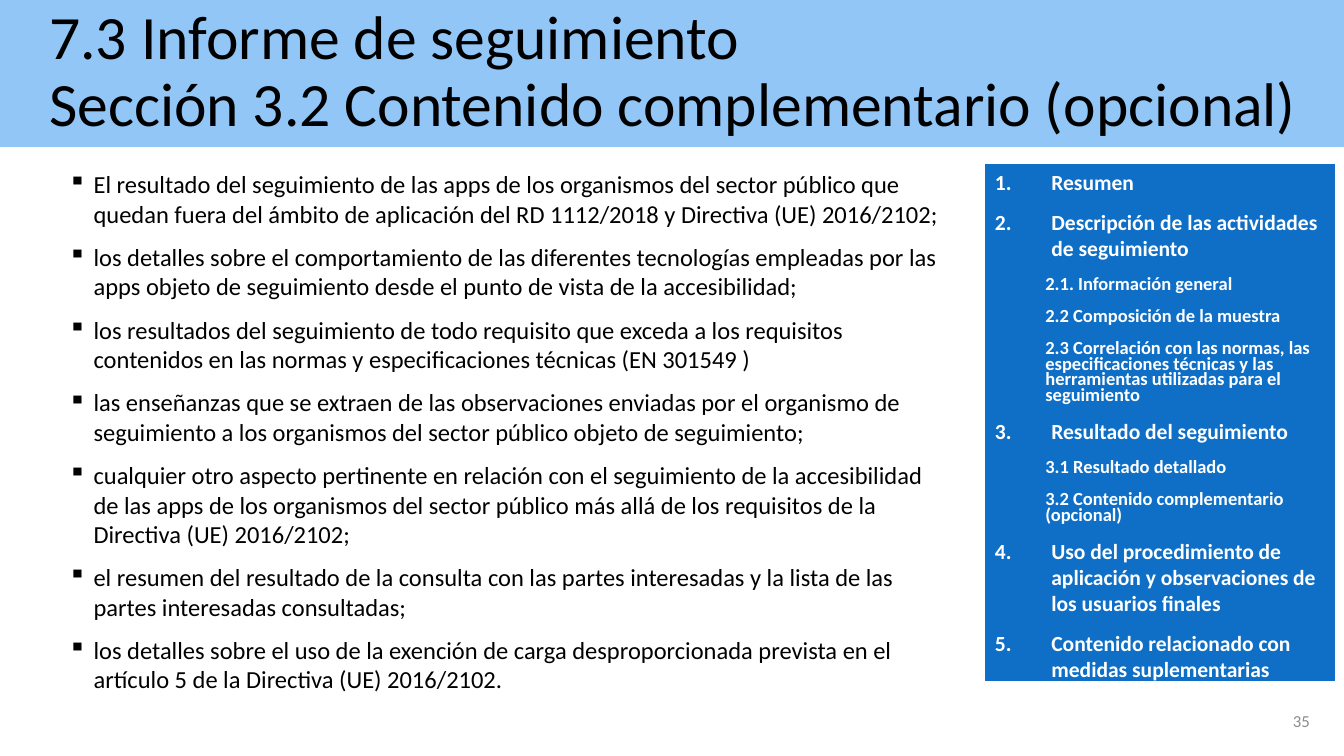
from lxml import etree
from pptx import Presentation
from pptx.dml.color import RGBColor
from pptx.enum.shapes import MSO_SHAPE
from pptx.enum.text import MSO_ANCHOR, PP_ALIGN
from pptx.oxml.ns import qn
from pptx.util import Emu, Inches, Pt

RECTANGLE = MSO_SHAPE.RECTANGLE
TOP, MIDDLE = MSO_ANCHOR.TOP, MSO_ANCHOR.MIDDLE
LEFT, RIGHT = PP_ALIGN.LEFT, PP_ALIGN.RIGHT
WIDTH, HEIGHT = 13.33, 7.5
CONTENT_TOP = 1.63
FONT = "Calibri"
COLORS = {"banner": "91C6F7", "index": "0F6FC6", "text": "000000",
          "index_text": "FFFFFF", "number": "8C8C8C"}

TITLE = ["7.3 Informe de seguimiento",
         "Sección 3.2 Contenido complementario (opcional)"]
CONTENTS = [
    "El resultado del seguimiento de las apps de los organismos del sector público que "
    "quedan fuera del ámbito de aplicación del RD 1112/2018 y Directiva (UE) 2016/2102;",
    "los detalles sobre el comportamiento de las diferentes tecnologías empleadas por las "
    "apps objeto de seguimiento desde el punto de vista de la accesibilidad;",
    "los resultados del seguimiento de todo requisito que exceda a los requisitos "
    "contenidos en las normas y especificaciones técnicas (EN 301549 )",
    "las enseñanzas que se extraen de las observaciones enviadas por el organismo de "
    "seguimiento a los organismos del sector público objeto de seguimiento;",
    "cualquier otro aspecto pertinente en relación con el seguimiento de la accesibilidad "
    "de las apps de los organismos del sector público más allá de los requisitos de la "
    "Directiva (UE) 2016/2102;",
    "el resumen del resultado de la consulta con las partes interesadas y la lista de las "
    "partes interesadas consultadas;",
    "los detalles sobre el uso de la exención de carga desproporcionada prevista en el "
    "artículo 5 de la Directiva (UE) 2016/2102.",
]
INDEX = [
    ("Resumen", []),
    ("Descripción de las actividades de seguimiento", [
        "2.1. Información general",
        "2.2 Composición de la muestra",
        "2.3 Correlación con las normas, las especificaciones técnicas y las "
        "herramientas utilizadas para el seguimiento"]),
    ("Resultado del seguimiento", [
        "3.1 Resultado detallado",
        "3.2 Contenido complementario (opcional)"]),
    ("Uso del procedimiento de aplicación y observaciones de los usuarios finales", []),
    ("Contenido relacionado con medidas suplementarias", []),
]


def prepare_frame(shape, anchor):
    """Set wrapping and anchoring and return the text frame."""
    frame = shape.text_frame
    frame.word_wrap = True
    frame.vertical_anchor = anchor
    return frame


def add_panel(slide, left, top, width, height, color, anchor=TOP):
    """Add a filled rectangle and return its text frame."""
    shape = slide.shapes.add_shape(
        RECTANGLE, Inches(left), Inches(top), Inches(width), Inches(height))
    shape.shadow.inherit = False
    shape.fill.solid()
    shape.fill.fore_color.rgb = RGBColor.from_string(COLORS[color])
    shape.line.color.rgb = RGBColor.from_string(COLORS[color])
    shape.line.width = Pt(0.75)
    return prepare_frame(shape, anchor)


def add_text_area(slide, left, top, width, height, anchor=TOP):
    """Add a text box and return its text frame."""
    box = slide.shapes.add_textbox(
        Inches(left), Inches(top), Inches(width), Inches(height))
    return prepare_frame(box, anchor)


def add_paragraph(frame, lines, size, color, bold=False, align=LEFT,
                  before=0, spacing=1.0, level=0):
    """Add a paragraph whose lines are separate runs."""
    first = frame.paragraphs[0]
    paragraph = frame.add_paragraph() if first.runs else first
    paragraph.alignment = align
    paragraph.space_before = Pt(before)
    paragraph.line_spacing = spacing
    paragraph.level = level
    for position, line in enumerate(lines):
        if position:
            paragraph.add_line_break()
        run = paragraph.add_run()
        run.text = line
        run.font.name = FONT
        run.font.size = Pt(size)
        run.font.bold = bold
        run.font.color.rgb = RGBColor.from_string(COLORS[color])
    return paragraph


def set_indent(paragraph, margin, hanging=0, marker=None, **attributes):
    """Set the left margin, the hanging indent and an optional marker."""
    properties = paragraph._p.get_or_add_pPr()
    properties.set("marL", str(Inches(margin)))
    properties.set("indent", str(Emu(-Inches(hanging))))
    if marker:
        etree.SubElement(properties, qn(marker), attributes)


def add_title(slide):
    """Add the banner with the two-line title."""
    frame = add_panel(slide, 0, 0, WIDTH, 1.45, "banner", MIDDLE)
    set_indent(add_paragraph(frame, TITLE, 44, "text", spacing=0.9), 0.39)


def add_contents(slide):
    """Add the bulleted list of optional contents."""
    frame = add_text_area(slide, 0.58, CONTENT_TOP, 8.9, HEIGHT - CONTENT_TOP)
    for item in CONTENTS:
        paragraph = add_paragraph(frame, [item], 17.5, "text", before=10)
        set_indent(paragraph, 0.25, 0.25, "a:buChar", char="▪")


def add_index(slide):
    """Add the numbered index of the report with its subsections."""
    frame = add_panel(slide, 9.77, CONTENT_TOP, 3.47, 5.12, "index")
    for heading, subsections in INDEX:
        paragraph = add_paragraph(frame, [heading], 15.4, "index_text", True, before=10)
        set_indent(paragraph, 0.56, 0.56, "a:buAutoNum", type="arabicPeriod")
        for subsection in subsections:
            paragraph = add_paragraph(frame, [subsection], 13.2, "index_text", True,
                                      before=12, spacing=0.7, level=1)
            set_indent(paragraph, 0.5)


def add_slide_number(slide):
    """Add the slide number at the lower right."""
    frame = add_text_area(slide, 10.09, 6.95, 3, 0.4, MIDDLE)
    add_paragraph(frame, ["35"], 12, "number", align=RIGHT)


def main():
    """Build the slide and save it."""
    presentation = Presentation()
    presentation.slide_width = Inches(WIDTH)
    presentation.slide_height = Inches(HEIGHT)
    slide = presentation.slides.add_slide(presentation.slide_layouts[6])
    add_title(slide)
    add_contents(slide)
    add_slide_number(slide)
    add_index(slide)
    presentation.save("out.pptx")


if __name__ == "__main__":
    main()
